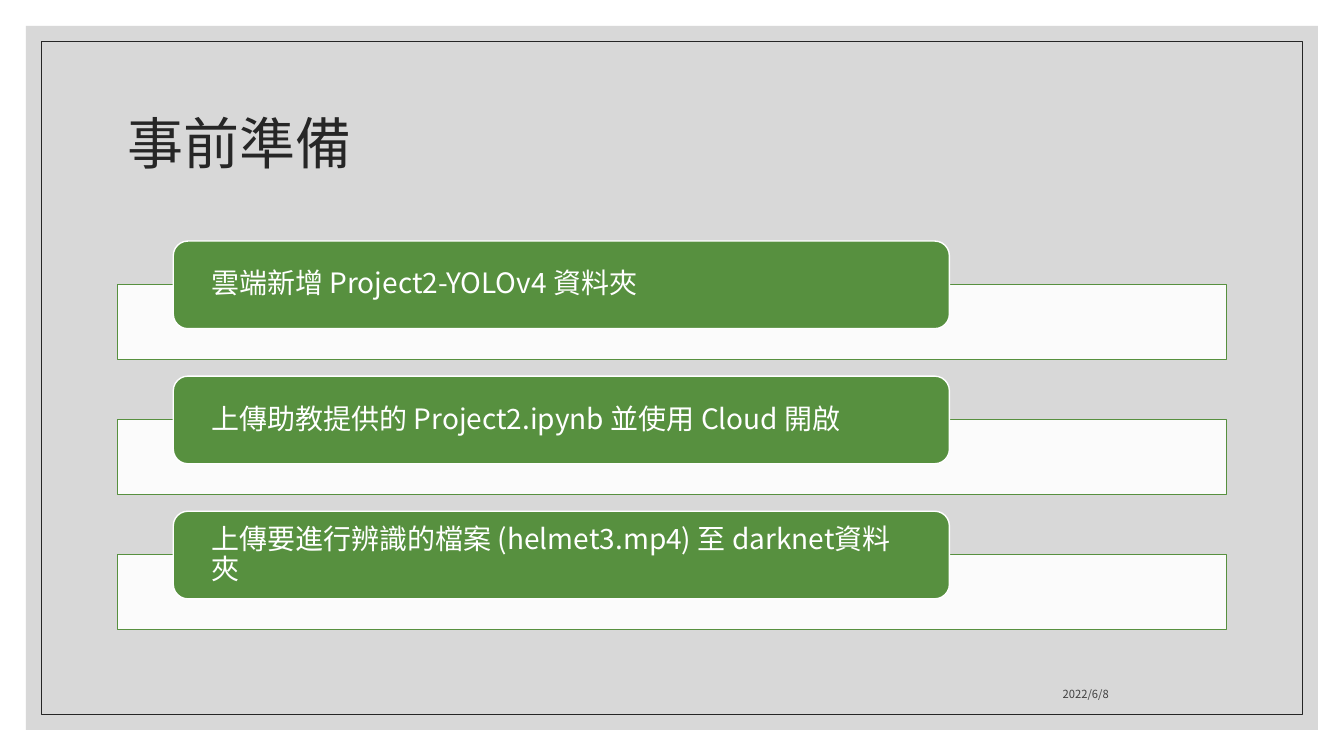
from pptx import Presentation
from pptx.dml.color import RGBColor
from pptx.enum import shapes, text
from pptx.oxml import ns, xmlchemy
from pptx.util import Pt

# Content
TITLE = "事前準備"
DATE = "2022/6/8"
STEPS = [
    "雲端新增 Project2-YOLOv4 資料夾",
    "上傳助教提供的 Project2.ipynb 並使用 Cloud 開啟",
    "上傳要進行辨識的檔案 (helmet3.mp4) 至 darknet資料夾",
]

# Style and layout, in points
GREEN, WHITE, GREY, DARK = "57903F", "FFFFFF", "BFBFBF", "262626"
TITLE_FONT, STEP_FONT = "Noto Sans CJK TC", "Noto Sans CJK SC"
PAGE_W, PAGE_H = 960, 540
BACK_MARGIN, FRAME_MARGIN = 18.6, 29.4
LEFT, BAND_W, BAND_H = 84, 792, 53.5
LABEL_LEFT, LABEL_W, LABEL_H = 123.8, 554.4, 62.6
FIRST_LABEL, STEP_PITCH, BAND_DROP = 172.2, 96.5, 31


def color(hex_code):
    return RGBColor.from_string(hex_code)


def add_box(page, kind, place, fill=None, line=None, width=1, opacity=100):
    box = page.shapes.add_shape(kind, *map(Pt, place))
    box.shadow.inherit = False
    if fill:
        box.fill.solid()
        box.fill.fore_color.rgb = color(fill)
        if opacity < 100:
            tint = box.fill._xPr.find(".//" + ns.qn("a:srgbClr"))
            alpha = xmlchemy.OxmlElement("a:alpha")
            alpha.set("val", str(opacity * 1000))
            tint.append(alpha)
    else:
        box.fill.background()
    if line:
        box.line.color.rgb = color(line)
        box.line.width = Pt(width)
    else:
        box.line.fill.background()
    return box


def write(box, words, size, font, ink, anchor, align=text.PP_ALIGN.LEFT,
          insets=(7.2, 3.6), spacing=None):
    frame = box.text_frame
    frame.word_wrap = True
    frame.vertical_anchor = anchor
    frame.margin_left = frame.margin_right = Pt(insets[0])
    frame.margin_top = frame.margin_bottom = Pt(insets[1])
    para = frame.paragraphs[0]
    para.text = words
    para.alignment = align
    if spacing:
        para.line_spacing = spacing
    para.font.size = Pt(size)
    para.font.color.rgb = color(ink)
    para.font.name = font
    # East Asian typeface
    east = xmlchemy.OxmlElement("a:ea")
    east.set("typeface", font)
    para._p.pPr.find(ns.qn("a:defRPr")).append(east)


def add_text(page, place, *args, **options):
    write(page.shapes.add_textbox(*map(Pt, place)), *args, **options)


def inset_place(margin):
    return margin, margin, PAGE_W - 2 * margin, PAGE_H - 2 * margin


def main():
    deck = Presentation()
    deck.slide_width, deck.slide_height = Pt(PAGE_W), Pt(PAGE_H)
    page = deck.slides.add_slide(deck.slide_layouts[6])
    rectangle = shapes.MSO_SHAPE.RECTANGLE
    rounded = shapes.MSO_SHAPE.ROUNDED_RECTANGLE
    middle, bottom = text.MSO_ANCHOR.MIDDLE, text.MSO_ANCHOR.BOTTOM

    # Background panel and frame
    add_box(page, rectangle, inset_place(BACK_MARGIN), fill=GREY, opacity=60)
    add_box(page, rectangle, inset_place(FRAME_MARGIN), line=DARK, width=0.5)

    # Title and date
    add_text(page, (LEFT, 50.4, BAND_W, 108), TITLE, 40, TITLE_FONT, DARK,
             middle, spacing=0.9)
    add_text(page, (571.7, 475.2, 227.5, 28.8), DATE, 8, TITLE_FONT, "404040",
             bottom, align=text.PP_ALIGN.RIGHT)

    # Steps: a pale band with a green label over it
    for index, step in enumerate(STEPS):
        top = FIRST_LABEL + index * STEP_PITCH
        add_box(page, rectangle, (LEFT, top + BAND_DROP, BAND_W, BAND_H),
                fill=WHITE, line=GREEN, opacity=90)
        label = add_box(page, rounded, (LABEL_LEFT, top, LABEL_W, LABEL_H),
                        fill=GREEN, line=WHITE)
        write(label, step, 20, STEP_FONT, WHITE, middle, insets=(24, 3),
              spacing=0.9)

    deck.save("out.pptx")


if __name__ == "__main__":
    main()
